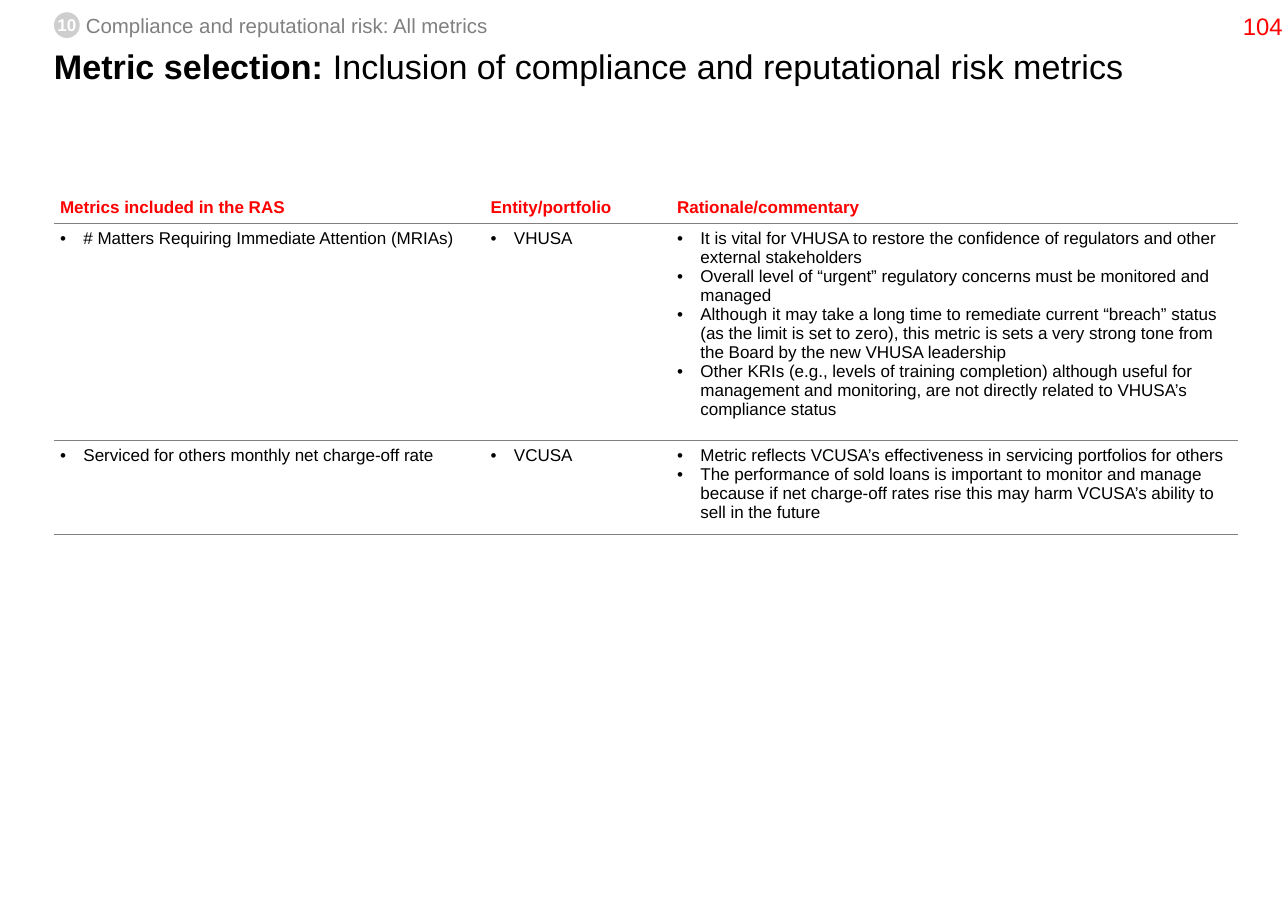
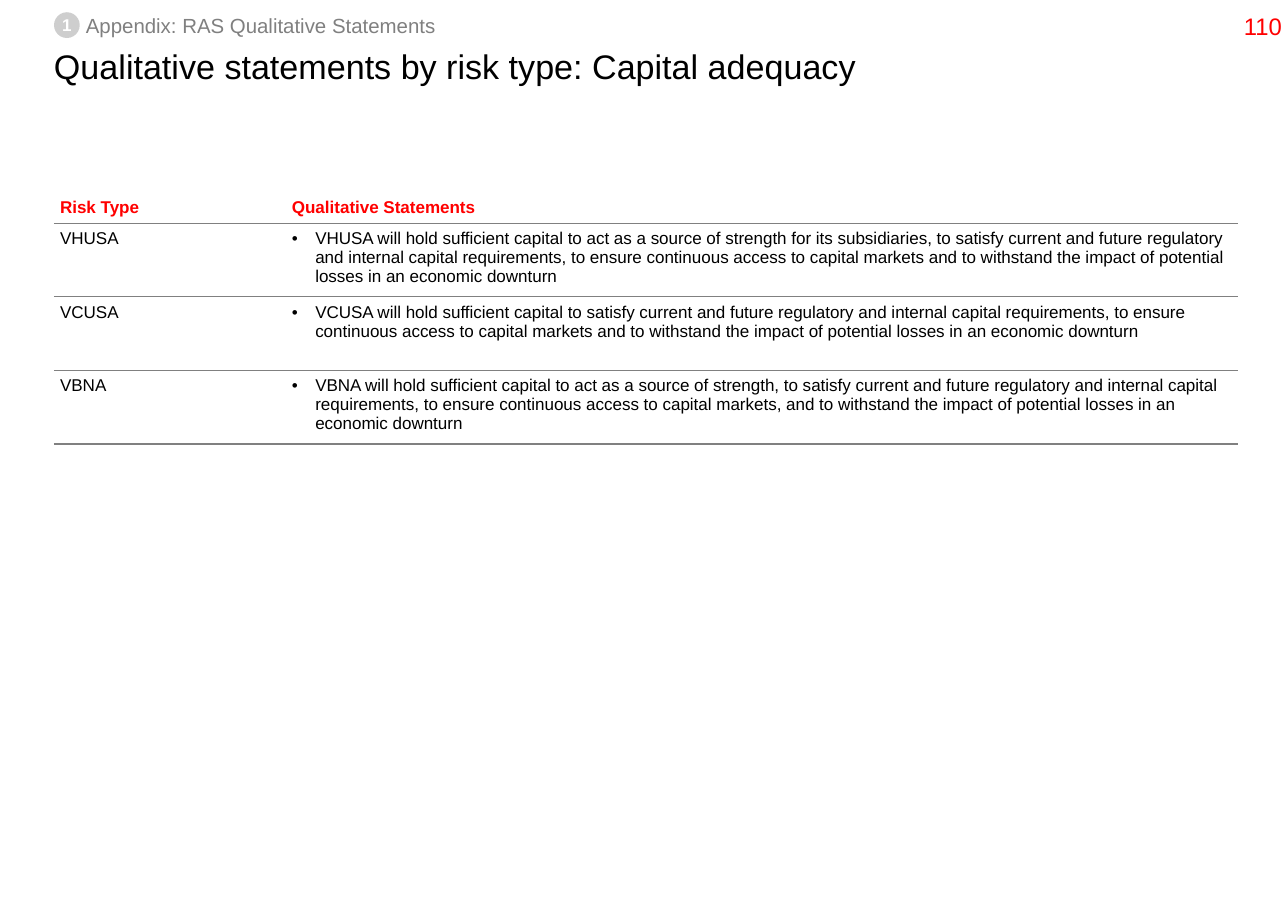
from lxml.etree import SubElement
from pptx import Presentation
from pptx.dml.color import RGBColor
from pptx.enum.shapes import MSO_SHAPE
from pptx.enum.text import MSO_ANCHOR, MSO_AUTO_SIZE, PP_ALIGN
from pptx.oxml.ns import qn
from pptx.util import Inches, Pt

# Shared look
FONT = "Arial"
BLACK = RGBColor(0x00, 0x00, 0x00)
WHITE = RGBColor(0xFF, 0xFF, 0xFF)
RED = RGBColor(0xFF, 0x00, 0x00)
GREY = RGBColor(0x80, 0x80, 0x80)
LIGHT_GREY = RGBColor(0xCE, 0xCE, 0xCE)
PAGE_WIDTH, PAGE_HEIGHT = 10.5, 7.5
MARGIN = 0.44
TABLE_TOP = 1.56
HEADER_HEIGHT = 0.26
CELL_INSET = Inches(0.05)
BULLET_INDENT = Inches(0.19)
TIGHT = 0.86
PLAIN_TABLE_STYLE = "{2D5ABB26-0587-4C30-8999-92F81FD0307C}"

# Content: a list in a cell is bulleted, a string is plain text
PAGES = [
    {
        "number": "104",
        "section": ("10", "Compliance and reputational risk: All metrics", 3.29),
        "title": [("Metric selection: ", True),
                  ("Inclusion of compliance and reputational risk metrics", False)],
        "columns": [3.51, 1.52, 4.62],
        "row_heights": [1.77, 0.77],
        "header": ["Metrics included in the RAS", "Entity/portfolio", "Rationale/commentary"],
        "rows": [
            [["# Matters Requiring Immediate Attention (MRIAs)"],
             ["VHUSA"],
             ["It is vital for VHUSA to restore the confidence of regulators and other "
              "external stakeholders",
              "Overall level of “urgent” regulatory concerns must be monitored and managed",
              "Although it may take a long time to remediate current “breach” status (as the "
              "limit is set to zero), this metric is sets a very strong tone from the Board "
              "by the new VHUSA leadership",
              "Other KRIs (e.g., levels of training completion) although useful for management "
              "and monitoring, are not directly related to VHUSA’s compliance status"]],
            [["Serviced for others monthly net charge-off rate"],
             ["VCUSA"],
             ["Metric reflects VCUSA’s effectiveness in servicing portfolios for others",
              "The performance of sold loans is important to monitor and manage because if net "
              "charge-off rates rise this may harm VCUSA’s ability to sell in the future"]],
        ],
    },
    {
        "number": "110",
        "section": ("1", "Appendix: RAS Qualitative Statements", 2.88),
        "title": [("Qualitative statements by risk type: Capital adequacy", False)],
        "columns": [1.89, 7.76],
        "row_heights": [0.6, 0.6, 0.6],
        "header": ["Risk Type", "Qualitative Statements"],
        "rows": [
            ["VHUSA",
             ["VHUSA will hold sufficient capital to act as a source of strength for its "
              "subsidiaries, to satisfy current and future regulatory and internal capital "
              "requirements, to ensure continuous access to capital markets and to withstand "
              "the impact of potential losses in an economic downturn"]],
            ["VCUSA",
             ["VCUSA will hold sufficient capital to satisfy current and future regulatory and "
              "internal capital requirements, to ensure continuous access to capital markets "
              "and to withstand the impact of potential losses in an economic downturn"]],
            ["VBNA",
             ["VBNA will hold sufficient capital to act as a source of strength, to satisfy "
              "current and future regulatory and internal capital requirements, to ensure "
              "continuous access to capital markets, and to withstand the impact of potential "
              "losses in an economic downturn"]],
        ],
    },
]


def style(para, size, color, bold=False, align=PP_ALIGN.LEFT):
    para.alignment = align
    font = para.font
    font.name, font.size, font.bold = FONT, Pt(size), bold
    font.color.rgb = color


def prepare(frame, anchor=MSO_ANCHOR.TOP, wrap=False):
    frame.margin_left = frame.margin_right = frame.margin_top = frame.margin_bottom = 0
    frame.vertical_anchor = anchor
    frame.word_wrap = wrap
    frame.auto_size = MSO_AUTO_SIZE.NONE


def write_line(box, text, size, color, bold=False, align=PP_ALIGN.LEFT, anchor=MSO_ANCHOR.MIDDLE):
    prepare(box.text_frame, anchor)
    para = box.text_frame.paragraphs[0]
    para.text = text
    style(para, size, color, bold, align)


def add_bullet(para):
    properties = para._p.get_or_add_pPr()
    properties.set("marL", str(BULLET_INDENT))
    properties.set("indent", str(-BULLET_INDENT))
    SubElement(properties, qn("a:buFont"), typeface=FONT)
    SubElement(properties, qn("a:buChar"), char="•")


def add_rule_below(cell):
    properties = cell._tc.get_or_add_tcPr()
    line = SubElement(properties, qn("a:lnB"), w=str(Pt(0.75)))
    fill = SubElement(line, qn("a:solidFill"))
    SubElement(fill, qn("a:srgbClr"), val=str(GREY))


def fill_cell(cell, content, is_header):
    add_rule_below(cell)
    cell.margin_left = cell.margin_right = cell.margin_top = cell.margin_bottom = CELL_INSET
    cell.vertical_anchor = MSO_ANCHOR.BOTTOM if is_header else MSO_ANCHOR.TOP
    if is_header:
        cell.fill.background()
    else:
        cell.fill.solid()
        cell.fill.fore_color.rgb = WHITE
    bulleted = isinstance(content, list)
    frame = cell.text_frame
    for index, text in enumerate(content if bulleted else [content]):
        para = frame.add_paragraph() if index else frame.paragraphs[0]
        para.text = text
        if bulleted:
            add_bullet(para)
        if is_header:
            para.line_spacing = TIGHT
        style(para, 10, RED if is_header else BLACK, is_header)


def add_title(slide, spans):
    title = slide.shapes.title
    title.left, title.top = Inches(MARGIN), Inches(0.42)
    title.width, title.height = Inches(9.63), Inches(0.8)
    prepare(title.text_frame, wrap=True)
    para = title.text_frame.paragraphs[0]
    para.line_spacing = TIGHT
    style(para, 20, BLACK)
    for text, bold in spans:
        span = para.add_run()
        span.text = text
        span.font.bold = bold


def add_section_tag(slide, number, name, width):
    tag = slide.shapes.add_group_shape()
    label = tag.shapes.add_textbox(Inches(0.7), Inches(0.11), Inches(width), Inches(0.2))
    write_line(label, name, 12, GREY, anchor=MSO_ANCHOR.TOP)
    badge = tag.shapes.add_shape(MSO_SHAPE.OVAL, Inches(MARGIN), Inches(0.1),
                                 Inches(0.21), Inches(0.21))
    badge.shadow.inherit = False
    badge.fill.solid()
    badge.fill.fore_color.rgb = LIGHT_GREY
    badge.line.fill.background()
    write_line(badge, number, 10, WHITE, True, PP_ALIGN.CENTER)


def add_page_number(slide, number):
    width = 0.41
    box = slide.shapes.add_textbox(Inches(PAGE_WIDTH - width), 0, Inches(width), Inches(0.42))
    write_line(box, number, 14, RED, align=PP_ALIGN.CENTER)


def add_page_table(slide, page):
    rows = [page["header"]] + page["rows"]
    heights = [HEADER_HEIGHT] + page["row_heights"]
    widths = page["columns"]
    holder = slide.shapes.add_table(len(rows), len(widths), Inches(MARGIN), Inches(TABLE_TOP),
                                    Inches(sum(widths)), Inches(sum(heights)))
    table = holder.table
    table.horz_banding = False
    next(holder.element.iter(qn("a:tableStyleId"))).text = PLAIN_TABLE_STYLE
    for column, width in zip(table.columns, widths):
        column.width = Inches(width)
    for row_index, (row, height) in enumerate(zip(table.rows, heights)):
        row.height = Inches(height)
        for cell, content in zip(row.cells, rows[row_index]):
            fill_cell(cell, content, row_index == 0)


def main():
    deck = Presentation()
    deck.slide_width, deck.slide_height = Inches(PAGE_WIDTH), Inches(PAGE_HEIGHT)
    title_only = deck.slide_layouts.get_by_name("Title Only")
    for page in PAGES:
        slide = deck.slides.add_slide(title_only)
        add_title(slide, page["title"])
        add_section_tag(slide, *page["section"])
        add_page_table(slide, page)
        add_page_number(slide, page["number"])
    deck.save("out.pptx")


if __name__ == "__main__":
    main()
